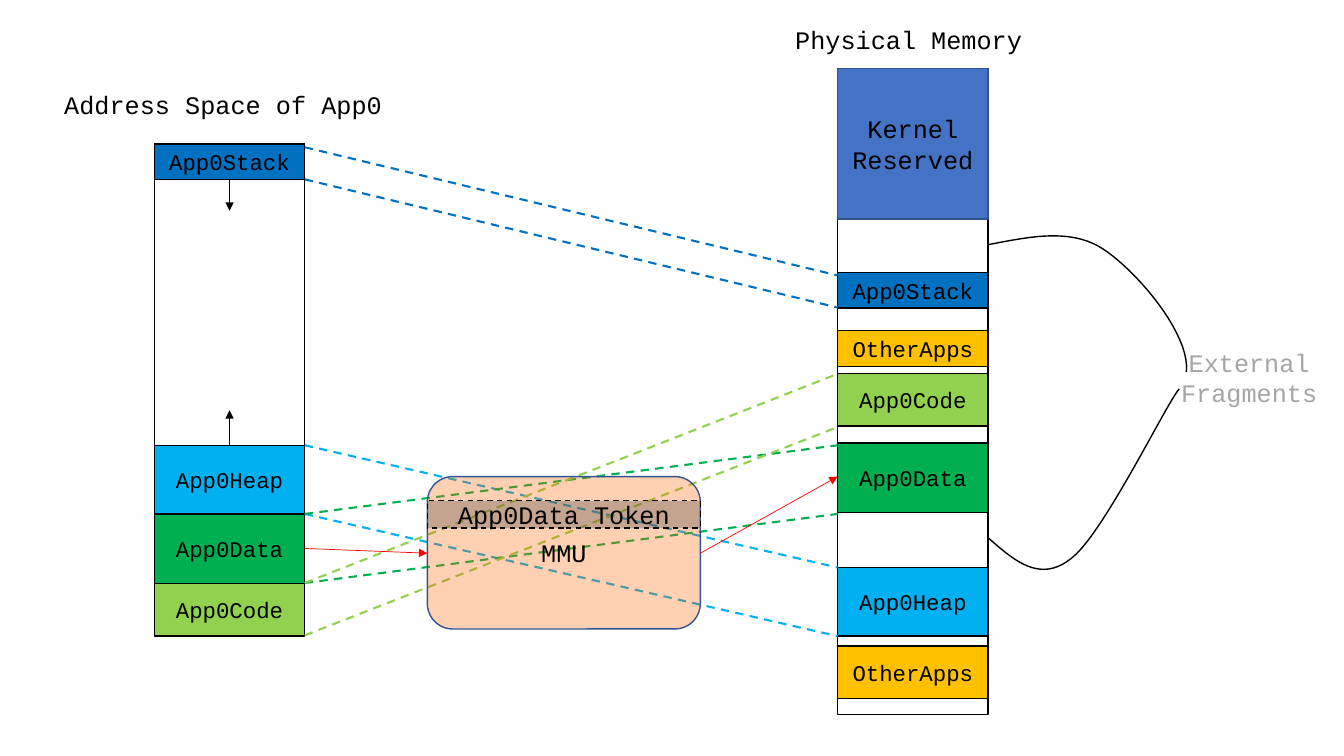
from dataclasses import dataclass
from pptx import Presentation
from pptx.dml.color import RGBColor as RGB
from pptx.enum.dml import MSO_LINE as DASH
from pptx.enum.shapes import MSO_CONNECTOR as CONN, MSO_SHAPE as SHAPE
from pptx.enum.text import MSO_ANCHOR as ANCHOR, PP_ALIGN as ALIGN
from pptx.oxml.ns import qn
from pptx.util import Cm, Pt
from lxml.etree import SubElement


@dataclass(frozen=True)
class Theme:
    font: str = "Courier New"
    large: int = 18
    small: int = 16
    black: str = "000000"
    white: str = "FFFFFF"
    grey: str = "A5A5A5"
    red: str = "FF0000"
    kernel: str = "4472C4"
    border: str = "325491"
    mmu: str = "FF6600"
    token: str = "404040"
    stack: str = "0070C0"
    heap: str = "00B0F0"
    data: str = "00B050"
    code: str = "92D050"
    other: str = "FFC000"


T = Theme()
BAR_W = 3.79
APP_X, MEM_X = 3.89, 21.11
APP_RIGHT = APP_X + BAR_W
APP_MID = APP_X + BAR_W / 2

COLUMNS = [
    (APP_X, 3.63, 12.4, [
        ("App0Stack", 3.63, 0.9, T.stack),
        ("App0Code", 14.7, 1.32, T.code),
        ("App0Data", 12.95, 1.75, T.data),
        ("App0Heap", 11.22, 1.73, T.heap),
    ]),
    (MEM_X, 1.73, 16.28, [
        ("App0Stack", 6.86, 0.9, T.stack),
        ("OtherApps", 8.33, 0.91, T.other),
        ("App0Code", 9.42, 1.32, T.code),
        ("App0Data", 11.16, 1.75, T.data),
        ("App0Heap", 14.3, 1.73, T.heap),
        ("OtherApps", 16.28, 1.32, T.other),
    ]),
]
MAPPINGS = [
    (T.stack, [(3.71, 6.94), (4.52, 7.75)]),
    (T.heap, [(11.22, 14.3), (12.95, 16.03)]),
    (T.data, [(12.95, 11.22), (14.69, 12.95)]),
    (T.code, [(14.69, 9.42), (16.01, 10.76)]),
]
GROWTH = [(11.22, 10.34), (4.52, 5.31)]
LABELS = [
    (["Physical Memory"], (19.79, 0.48, 8.66, 1.02), T.black, ALIGN.LEFT, ANCHOR.TOP),
    (["Address Space of App0"], (1.37, 2.13, 8.84, 1.02), T.black, ALIGN.LEFT, ANCHOR.TOP),
    (["External", "Fragments"], (29.46, 8.23, 4.04, 2.57), T.grey, ALIGN.CENTER, ANCHOR.MIDDLE),
]
MMU_BOX = (10.77, 12.01, 6.88, 3.84)
TOKEN_BOX = (10.77, 12.62, 6.88, 0.69)
LOOKUPS = [((APP_RIGHT, 13.82), (10.77, 13.94)), ((17.65, 13.94), (MEM_X, 12.01))]
FRAGMENT_CURVES = [
    [(24.89, 6.17), (25.93, 5.97), (26.97, 5.74), (27.79, 6.27),
     (28.63, 6.81), (30, 8.41), (29.9, 9.37)],
    [(24.89, 13.54), (25.55, 14.12), (26.21, 14.71), (27, 14.07),
     (27.81, 13.46), (29.44, 10.08), (29.72, 9.8)],
]
CURVE_STEPS = 20


def write(sp, lines, size, color=T.black, align=ALIGN.CENTER, anchor=ANCHOR.MIDDLE):
    tf = sp.text_frame
    tf.word_wrap = True
    tf.vertical_anchor = anchor
    for i, line in enumerate(lines):
        p = tf.paragraphs[0] if i == 0 else tf.add_paragraph()
        p.alignment = align
        r = p.add_run()
        r.text = line
        r.font.name = T.font
        r.font.size = Pt(size)
        r.font.color.rgb = RGB.from_string(color)


def outline(s, color, width=1, dash=None):
    s.line.color.rgb = RGB.from_string(color)
    s.line.width = Pt(width)
    if dash:
        s.line.dash_style = dash


def add_box(shapes, box, fill, lines=(), size=T.small, border=T.black,
            kind=SHAPE.RECTANGLE, alpha=None, dash=None):
    sp = shapes.add_shape(kind, *map(Cm, box))
    sp.shadow.inherit = False
    sp.fill.solid()
    sp.fill.fore_color.rgb = RGB.from_string(fill)
    if alpha:
        clr = sp.fill._xPr.find(qn("a:solidFill"))[0]
        SubElement(clr, qn("a:alpha"), val=str(alpha * 1000))
    outline(sp, border, dash=dash)
    write(sp, lines, size)


def add_line(shapes, start, end, color, width, dash=None, arrow=False):
    c = shapes.add_connector(CONN.STRAIGHT, *map(Cm, start + end))
    outline(c, color, width, dash)
    if arrow:
        SubElement(c.line._get_or_add_ln(), qn("a:tailEnd"), type="triangle")
    SubElement(c._element.spPr, qn("a:effectLst"))


def bezier(a, b, c, d, t):
    u = 1 - t
    weights = (u ** 3, 3 * u * u * t, 3 * u * t * t, t ** 3)
    return tuple(Cm(sum(w * pt[k] for w, pt in zip(weights, (a, b, c, d)))) for k in (0, 1))


def add_curve(shapes, knots):
    points = [bezier(*knots[i:i + 4], n / CURVE_STEPS)
              for i in range(0, len(knots) - 1, 3) for n in range(1, CURVE_STEPS + 1)]
    fb = shapes.build_freeform(*map(Cm, knots[0]))
    fb.add_line_segments(points, close=False)
    sp = fb.convert_to_shape()
    sp.shadow.inherit = False
    sp.fill.background()
    outline(sp, T.black)


def main():
    prs = Presentation()
    prs.slide_width, prs.slide_height = Cm(33.87), Cm(19.05)
    shapes = prs.slides.add_slide(prs.slide_layouts[6]).shapes

    for x, top, height, segments in COLUMNS:
        add_box(shapes, (x, top, BAR_W, height), T.white)
        for name, y, h, color in segments:
            add_box(shapes, (x, y, BAR_W, h), color, [name])
    add_box(shapes, (MEM_X, 1.73, BAR_W, BAR_W), T.kernel,
            ["Kernel", "Reserved"], T.large, T.border)

    for y1, y2 in GROWTH:
        add_line(shapes, (APP_MID, y1), (APP_MID, y2), T.black, 0.5, arrow=True)
    for color, edges in MAPPINGS:
        for y1, y2 in edges:
            add_line(shapes, (APP_RIGHT, y1), (MEM_X, y2), color, 1.5, DASH.DASH)

    add_box(shapes, MMU_BOX, T.mmu, ["MMU"], T.large, T.border,
            SHAPE.ROUNDED_RECTANGLE, alpha=30)
    add_box(shapes, TOKEN_BOX, T.token, ["App0Data Token"], T.large,
            alpha=30, dash=DASH.DASH)
    for start, end in LOOKUPS:
        add_line(shapes, start, end, T.red, 0.5, arrow=True)

    for lines, box, color, align, anchor in LABELS:
        write(shapes.add_textbox(*map(Cm, box)), lines, T.large, color, align, anchor)
    for knots in FRAGMENT_CURVES:
        add_curve(shapes, knots)
    prs.save("out.pptx")


if __name__ == "__main__":
    main()
